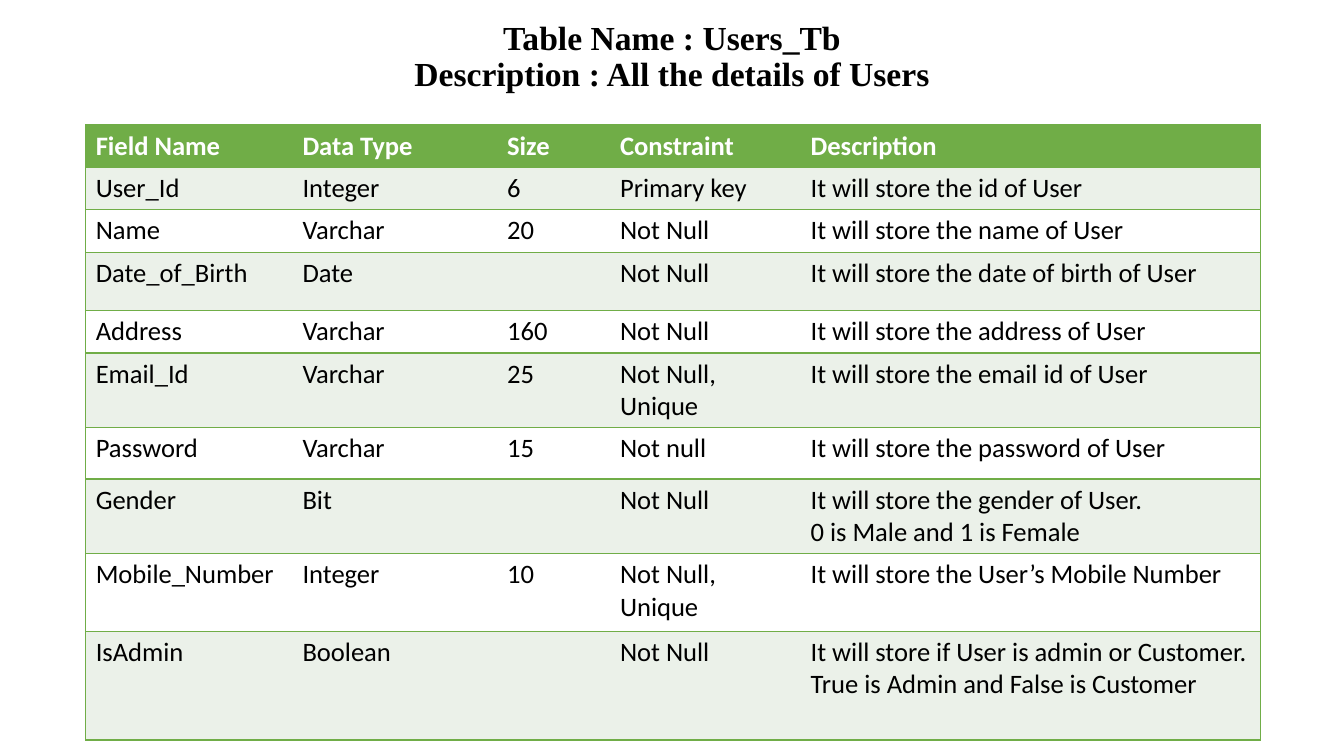
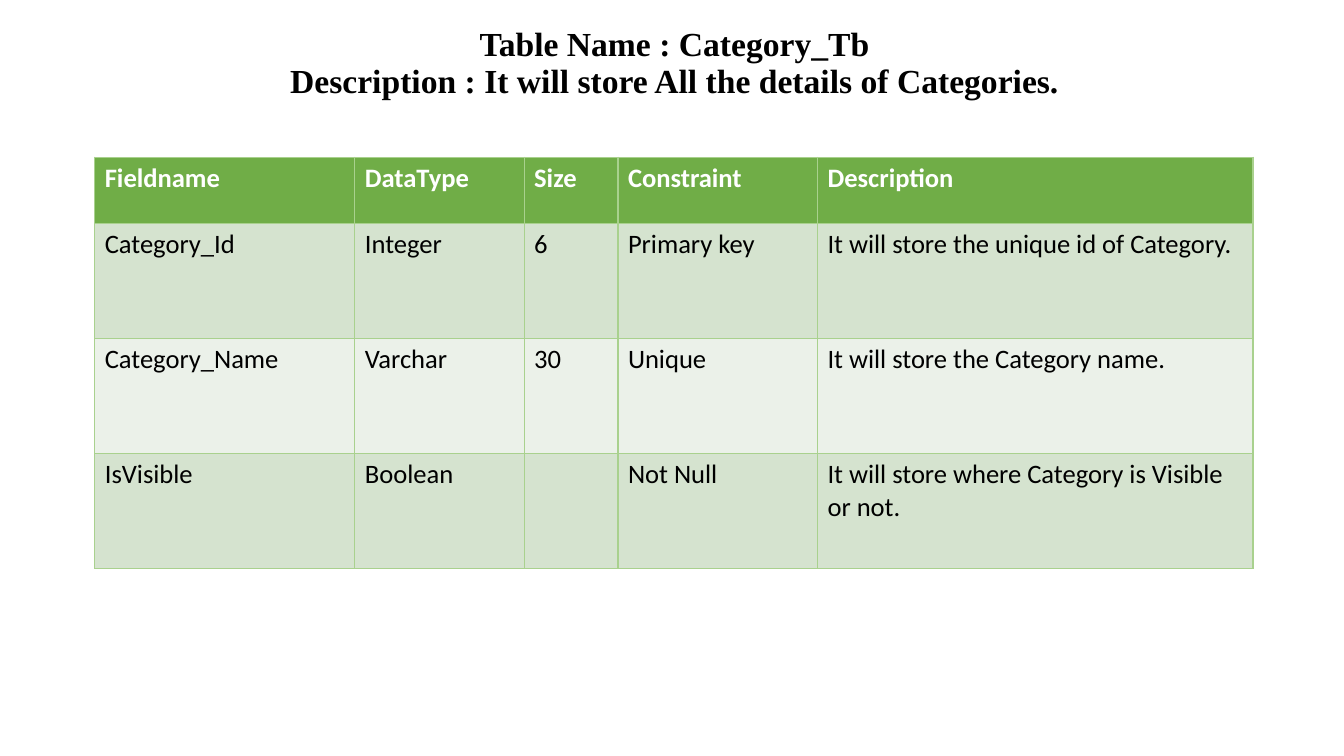
"""Builds two slides that describe the tables of a database."""
from lxml import etree
from pptx import Presentation
from pptx import util as u
from pptx.dml.color import RGBColor
from pptx.enum import text
from pptx.oxml.ns import qn

BLACK = RGBColor(0x00, 0x00, 0x00)
WHITE = RGBColor(0xFF, 0xFF, 0xFF)
GREEN = RGBColor(0x70, 0xAD, 0x47)
LIGHT_GREEN = RGBColor(0xA9, 0xD1, 0x8E)
SAGE = RGBColor(0xD5, 0xE3, 0xCF)
PALE = RGBColor(0xEB, 0xF1, 0xE9)

deck = Presentation()
deck.slide_width = u.Inches(13.33)
deck.slide_height = u.Inches(7.5)

PAGES = [
    {
        "title": "Table Name : Users_Tb\vDescription : All the details of Users",
        "title_area": (11.63, 0.67, 76.74, 12.4),
        "anchor": text.MSO_ANCHOR.BOTTOM,
        "corner": (6.38, 16.53),
        "widths": [15.38, 15.23, 8.4, 14.18, 34.21],
        "heights": [5.33, 5.33, 5.33, 7.73, 5.33, 9.47, 6.8, 9.47, 10.27, 14.4],
        "bands": [PALE, WHITE],
        "border": GREEN,
        "inner_verticals": False,
        "rows": [
            ["Field Name", "Data Type", "Size", "Constraint", "Description"],
            ["User_Id", "Integer", "6", "Primary key", "It will store the id of User"],
            ["Name", "Varchar", "20", "Not Null", "It will store the name of User"],
            ["Date_of_Birth", "Date", "", "Not Null", "It will store the date of birth of User"],
            ["Address", "Varchar", "160", "Not Null", "It will store the address of User"],
            ["Email_Id", "Varchar", "25", "Not Null, Unique", "It will store the email id of User"],
            ["Password", "Varchar", "15", "Not null", "It will store the password of User"],
            ["Gender", "Bit", "", "Not Null",
             "It will store the gender of User.\n0 is Male and 1 is Female"],
            ["Mobile_Number", "Integer", "10", "Not Null, Unique",
             "It will store the User’s Mobile Number"],
            ["IsAdmin", "Boolean", "", "Not Null",
             "It will store if User is admin or Customer.\nTrue is Admin and False is Customer"],
        ],
    },
    {
        "title": "Table Name : Category_Tb\v"
                 "Description : It will store All the details of Categories.",
        "title_area": (7.05, -1.2, 86.27, 19.33),
        "anchor": text.MSO_ANCHOR.MIDDLE,
        "corner": (7.05, 20.8),
        "widths": [19.35, 12.6, 6.98, 14.85, 32.41],
        "heights": [8.8, 15.2, 15.2, 15.2],
        "bands": [SAGE, PALE],
        "border": LIGHT_GREEN,
        "inner_verticals": True,
        "rows": [
            ["Fieldname", "DataType", "Size", "Constraint", "Description"],
            ["Category_Id", "Integer", "6", "Primary key",
             "It will store the unique id of Category."],
            ["Category_Name", "Varchar", "30", "Unique", "It will store the Category name."],
            ["IsVisible", "Boolean", "", "Not Null",
             "It will store where Category is Visible or not."],
        ],
    },
]


def place(left, top, width, height):
    """Turn percentages of the slide into lengths."""
    across, down = deck.slide_width / 100, deck.slide_height / 100
    return [u.Emu(round(length)) for length in
            (left * across, top * down, width * across, height * down)]


def set_borders(cell, sides):
    """Draw each side in its colour, or leave it without a line."""
    properties = cell._tc.get_or_add_tcPr()
    for position, (side, color) in enumerate(sides.items()):
        line = etree.Element(qn(f"a:ln{side}"), w=str(u.Pt(1)))
        if color is None:
            etree.SubElement(line, qn("a:noFill"))
        else:
            solid = etree.SubElement(line, qn("a:solidFill"))
            etree.SubElement(solid, qn("a:srgbClr"), val=str(color))
        properties.insert(position, line)


for content in PAGES:
    page = deck.slides.add_slide(deck.slide_layouts[5])
    title = page.shapes.title
    title.left, title.top, title.width, title.height = place(*content["title_area"])
    frame = title.text_frame
    frame.text = content["title"]
    frame.word_wrap = True
    frame.auto_size = text.MSO_AUTO_SIZE.NONE
    frame.vertical_anchor = content["anchor"]
    para = frame.paragraphs[0]
    para.alignment = text.PP_ALIGN.CENTER
    para.line_spacing = 0.9
    for span in para.runs:
        span.font.name = "Times New Roman"
        span.font.size = u.Pt(24)
        span.font.bold = True
        span.font.color.rgb = BLACK

    rows, widths, heights = content["rows"], content["widths"], content["heights"]
    area = place(*content["corner"], sum(widths), sum(heights))
    table = page.shapes.add_table(len(rows), len(widths), *area).table
    for column, width in zip(table.columns, widths):
        column.width = place(0, 0, width, 0)[2]
    for row, height in zip(table.rows, heights):
        row.height = place(0, 0, 0, height)[3]

    border = content["border"]
    inner = border if content["inner_verticals"] else None
    for row_index, values in enumerate(rows):
        header = row_index == 0
        for column_index, value in enumerate(values):
            cell = table.cell(row_index, column_index)
            cell.text_frame.text = value
            cell.fill.solid()
            cell.fill.fore_color.rgb = GREEN if header else content["bands"][(row_index - 1) % 2]
            set_borders(cell, {
                "L": border if column_index == 0 else inner,
                "R": border if column_index == len(values) - 1 else inner,
                "T": border,
                "B": border,
            })
            for para in cell.text_frame.paragraphs:
                for span in para.runs:
                    span.font.name = "Calibri"
                    span.font.size = u.Pt(19)
                    span.font.bold = header
                    span.font.color.rgb = WHITE if header else BLACK

deck.save("out.pptx")
